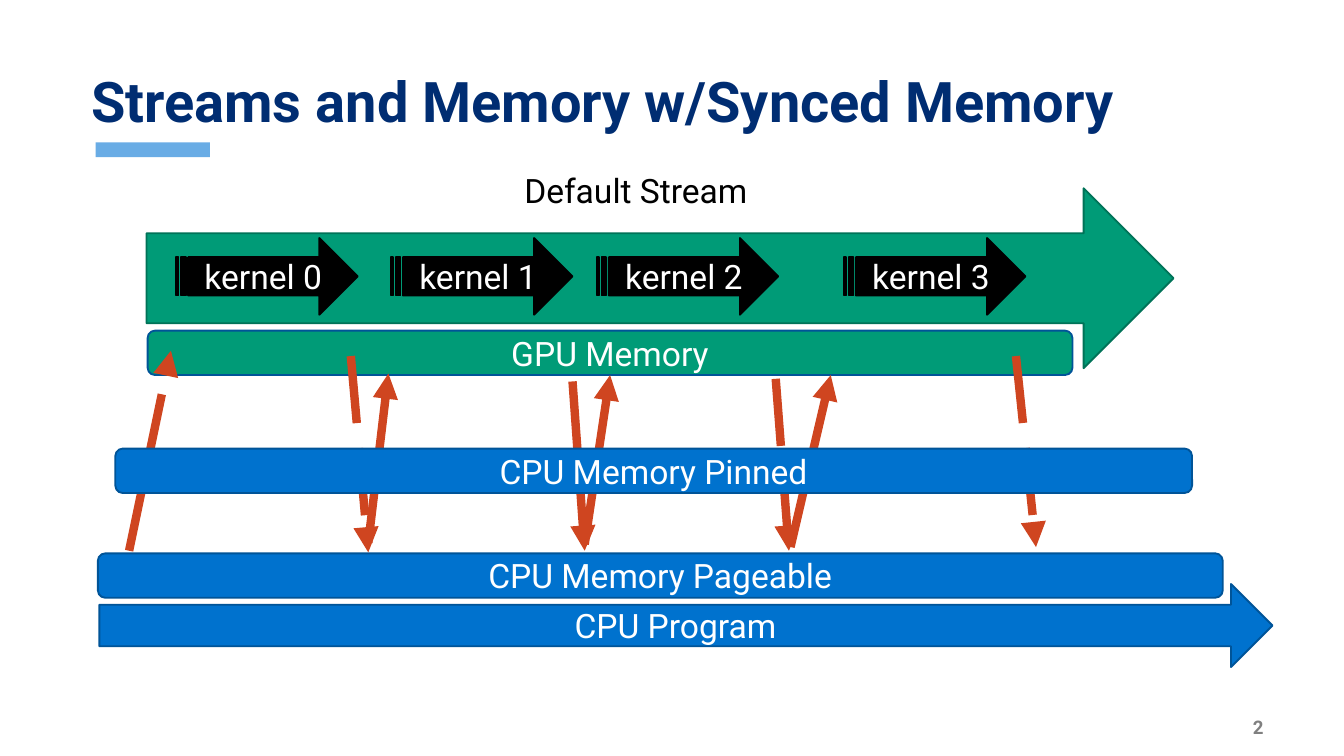
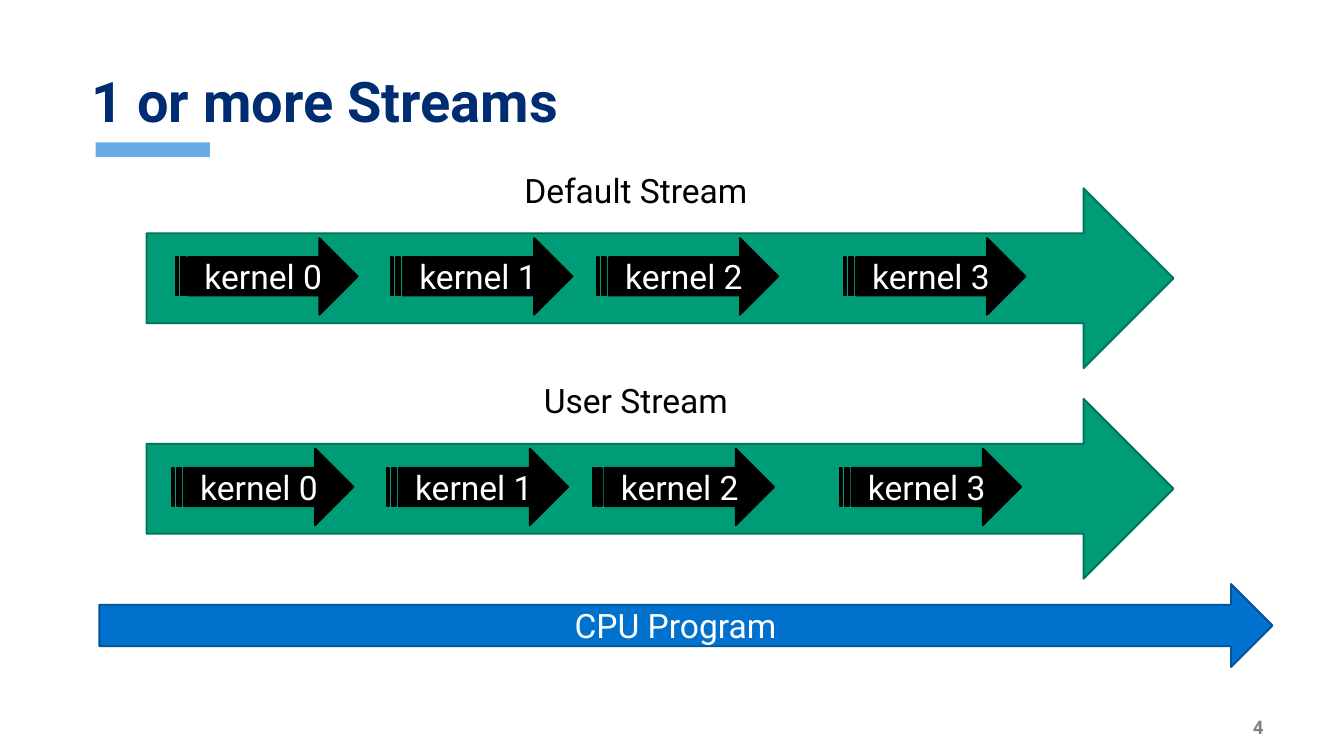
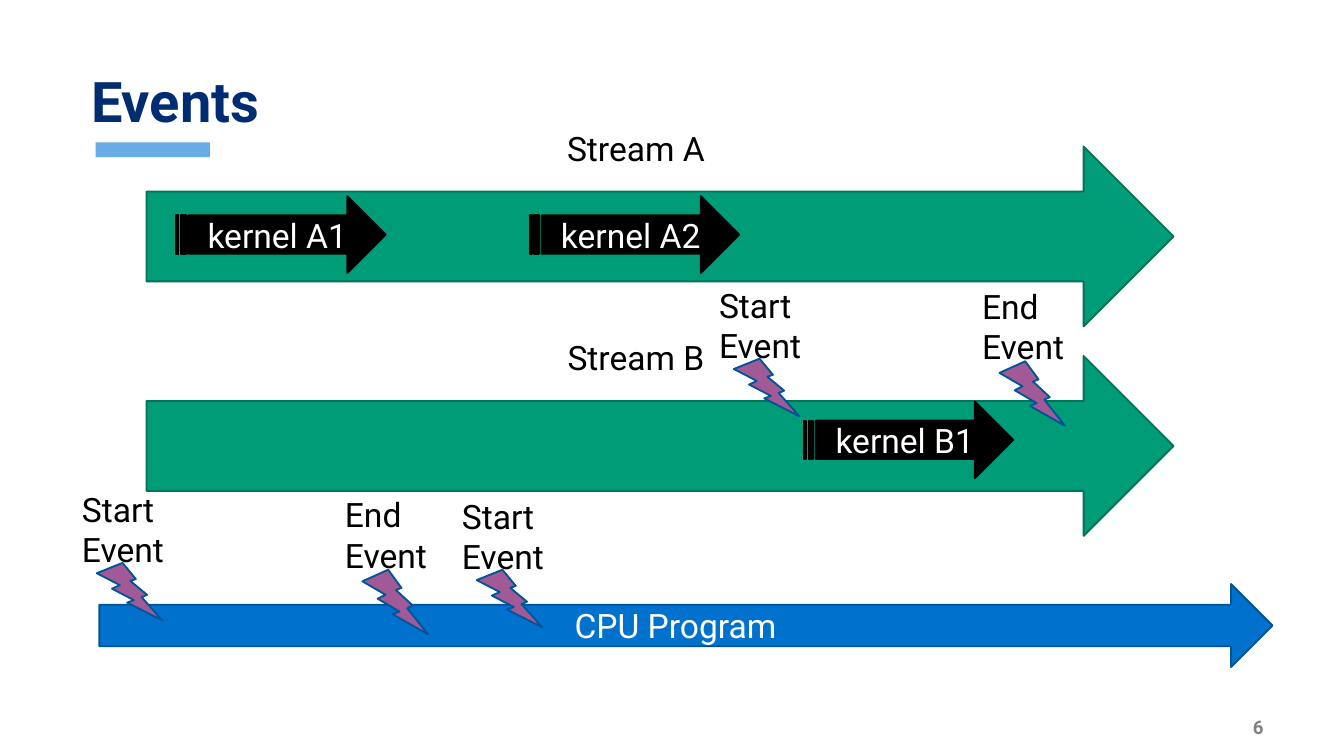
from lxml import etree
from pptx import Presentation
from pptx.dml.color import RGBColor
from pptx.enum.dml import MSO_LINE
from pptx.enum.shapes import MSO_CONNECTOR, MSO_SHAPE
from pptx.enum.text import MSO_ANCHOR, MSO_AUTO_SIZE, PP_ALIGN
from pptx.oxml.ns import qn
from pptx.util import Cm, Pt

RECTANGLE = MSO_SHAPE.RECTANGLE
ROUNDED = MSO_SHAPE.ROUNDED_RECTANGLE
ARROW = MSO_SHAPE.RIGHT_ARROW
STRIPED_ARROW = MSO_SHAPE.STRIPED_RIGHT_ARROW
BOLT = MSO_SHAPE.LIGHTNING_BOLT
STRAIGHT = MSO_CONNECTOR.STRAIGHT
LONG_DASH = MSO_LINE.LONG_DASH
MIDDLE, TOP = MSO_ANCHOR.MIDDLE, MSO_ANCHOR.TOP
LEFT, CENTER, RIGHT = PP_ALIGN.LEFT, PP_ALIGN.CENTER, PP_ALIGN.RIGHT
GROW = MSO_AUTO_SIZE.SHAPE_TO_FIT_TEXT

FONT = "Roboto"
NAVY = RGBColor(0x00, 0x2D, 0x72)
SKY = RGBColor(0x69, 0xAC, 0xE5)
BLUE = RGBColor(0x00, 0x72, 0xCE)
DARK_BLUE = RGBColor(0x00, 0x54, 0x98)
GREEN = RGBColor(0x00, 0x9B, 0x77)
DARK_GREEN = RGBColor(0x00, 0x73, 0x58)
PURPLE = RGBColor(0xA1, 0x5A, 0x95)
ORANGE = RGBColor(0xCF, 0x45, 0x20)
GRAY = RGBColor(0x80, 0x80, 0x80)
BLACK = RGBColor(0x00, 0x00, 0x00)
WHITE = RGBColor(0xFF, 0xFF, 0xFF)

# Boxes are (left, top, width, height) in centimetres.
TITLE_BOX = (1.47, 1.27, 22.45, 1.42)
ACCENT_BOX = (1.81, 2.69, 2.16, 0.28)
NUMBER_BOX = (21.92, 13.51, 2.21, 0.48)
PROGRAM_BOX = (1.88, 11.04, 22.17, 1.57)

STREAM_LEFT, STREAM_WIDTH, STREAM_HEIGHT = 2.77, 19.41, 3.4
KERNEL_WIDTH, WIDE_KERNEL_WIDTH, KERNEL_HEIGHT = 3.43, 3.96, 1.45
KERNEL_DROP = 0.94
KERNELS = [("kernel 0", 0.56), ("kernel 1", 4.62), ("kernel 2", 8.51), ("kernel 3", 13.18)]
BAR_HEIGHT = 0.84

TRANSFERS = [
    ((2.44, 10.41), (3.23, 6.63)),
    ((6.63, 6.73), (6.96, 10.44)),
    ((6.96, 10.26), (7.34, 7.06)),
    ((10.82, 7.21), (11.05, 10.41)),
    ((11.05, 10.29), (11.53, 7.09)),
    ((14.66, 7.16), (14.91, 10.41)),
    ((14.94, 10.34), (15.7, 7.09)),
    ((19.2, 6.73), (19.58, 10.34)),
]


def lengths(*values):
    return [Cm(value) for value in values]


def write(shape, text, color=BLACK, size=18, bold=False, align=CENTER, anchor=MIDDLE):
    frame = shape.text_frame
    frame.text = text
    frame.vertical_anchor = anchor
    for para in frame.paragraphs:
        para.alignment = align
        para.font.name = FONT
        para.font.size = Pt(size)
        para.font.bold = bold
        para.font.color.rgb = color


def add_block(page, kind, box, fill, outline=None, text=""):
    block = page.shapes.add_shape(kind, *lengths(*box))
    block.shadow.inherit = False
    block.fill.solid()
    block.fill.fore_color.rgb = fill
    if outline is None:
        block.line.fill.background()
    else:
        block.line.color.rgb = outline
        block.line.width = Pt(1)
    if text:
        write(block, text, WHITE)


def add_label(page, box, text, wrap=True, **style):
    label = page.shapes.add_textbox(*lengths(*box))
    label.text_frame.word_wrap = wrap
    write(label, text, **style)
    return label


def add_page(deck, title, number):
    """Add a slide with its title, accent band, page number and program arrow."""
    page = deck.slides.add_slide(deck.slide_layouts[5])
    heading = page.shapes.title
    heading.left, heading.top, heading.width, heading.height = lengths(*TITLE_BOX)
    write(heading, title, NAVY, 30, True, LEFT)
    heading.text_frame.paragraphs[0].line_spacing = 0.9
    add_block(page, RECTANGLE, ACCENT_BOX, SKY)
    add_label(page, NUMBER_BOX, number, wrap=False, color=GRAY, size=10, bold=True, align=RIGHT)
    add_block(page, ARROW, PROGRAM_BOX, BLUE, DARK_BLUE, "CPU Program")
    return page


def add_stream(page, top, name, kernels, kernel_width=KERNEL_WIDTH, shift=0, drop=KERNEL_DROP):
    """Draw a stream arrow, its name and its (text, offset) kernels."""
    add_block(page, ARROW, (STREAM_LEFT, top, STREAM_WIDTH, STREAM_HEIGHT), GREEN, DARK_GREEN)
    label = add_label(page, (STREAM_LEFT + 6.86, top - 0.48, 4.78, 1.02), name, anchor=TOP)
    label.text_frame.auto_size = GROW
    for text, offset in kernels:
        box = (STREAM_LEFT + offset + shift, top + drop, kernel_width, KERNEL_HEIGHT)
        add_block(page, STRIPED_ARROW, box, BLACK, BLACK, text)


def add_bar(page, left, top, width, text, fill=BLUE):
    add_block(page, ROUNDED, (left, top, width, BAR_HEIGHT), fill, DARK_BLUE, text)


def add_transfer(page, start, end):
    arrow = page.shapes.add_connector(STRAIGHT, *lengths(*start, *end))
    arrow.line.color.rgb = ORANGE
    arrow.line.width = Pt(4.5)
    arrow.line.dash_style = LONG_DASH
    etree.SubElement(arrow.line._get_or_add_ln(), qn("a:tailEnd"), type="triangle")
    etree.SubElement(arrow._element.spPr, qn("a:effectLst"))


def add_event(page, left, top, word):
    """Draw an event label with its bolt below."""
    across, down, height = (0.53, 1.52, 1.09) if word == "Start" else (0.58, 1.55, 1.22)
    add_block(page, BOLT, (left + across, top + down, 1.24, height), PURPLE, DARK_BLUE)
    label = add_label(page, (left, top, 2.11, 1.8), f"{word}\nEvent", wrap=False,
                      align=LEFT, anchor=TOP)
    label.text_frame.auto_size = GROW


def add_memory_page(deck):
    page = add_page(deck, "Streams and Memory w/Synced Memory", "2")
    add_stream(page, 3.56, "Default Stream", KERNELS)
    add_bar(page, 2.79, 6.25, 17.48, "GPU Memory", GREEN)
    add_bar(page, 1.85, 10.46, 21.26, "CPU Memory Pageable")
    for start, end in TRANSFERS:
        add_transfer(page, start, end)
    add_bar(page, 2.18, 8.48, 20.35, "CPU Memory Pinned")


def add_streams_page(deck):
    page = add_page(deck, "1 or more Streams", "4")
    add_stream(page, 3.56, "Default Stream", KERNELS)
    add_stream(page, 7.54, "User Stream", KERNELS, shift=-0.08)


def add_events_page(deck):
    page = add_page(deck, "Events", "6")
    add_stream(page, 2.77, "Stream A", [("kernel A1", 0.56), ("kernel A2", 7.24)],
               WIDE_KERNEL_WIDTH)
    add_stream(page, 6.73, "Stream B", [("kernel B1", 12.42)], WIDE_KERNEL_WIDTH, drop=0.86)
    for left, top, word in [
        (1.3, 9.12, "Start"),
        (6.27, 9.22, "End"),
        (8.48, 9.25, "Start"),
        (13.34, 5.26, "Start"),
        (18.31, 5.28, "End"),
    ]:
        add_event(page, left, top, word)


def main():
    deck = Presentation()
    deck.slide_width, deck.slide_height = lengths(25.4, 14.29)
    add_memory_page(deck)
    add_streams_page(deck)
    add_events_page(deck)
    deck.save("out.pptx")


if __name__ == "__main__":
    main()
